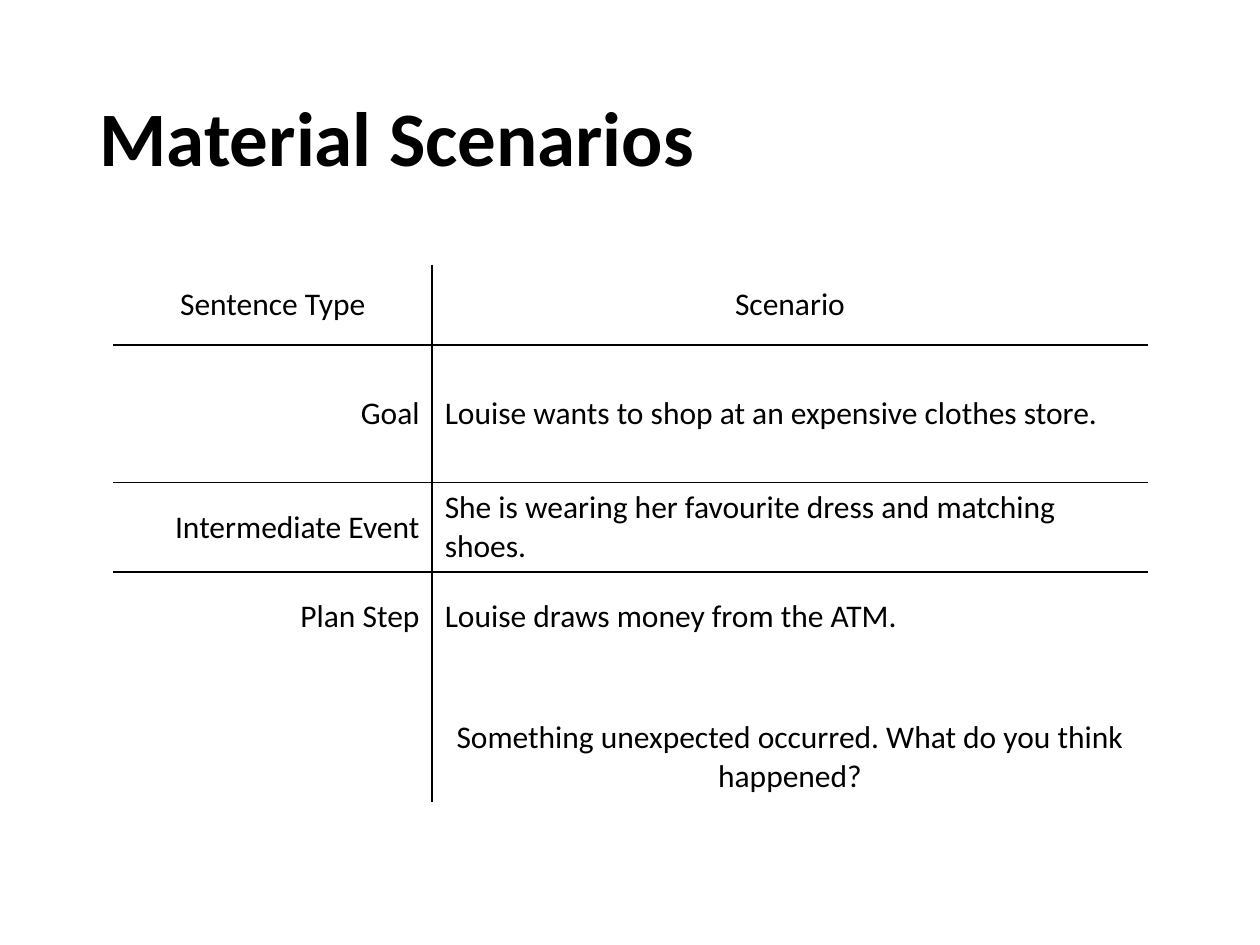
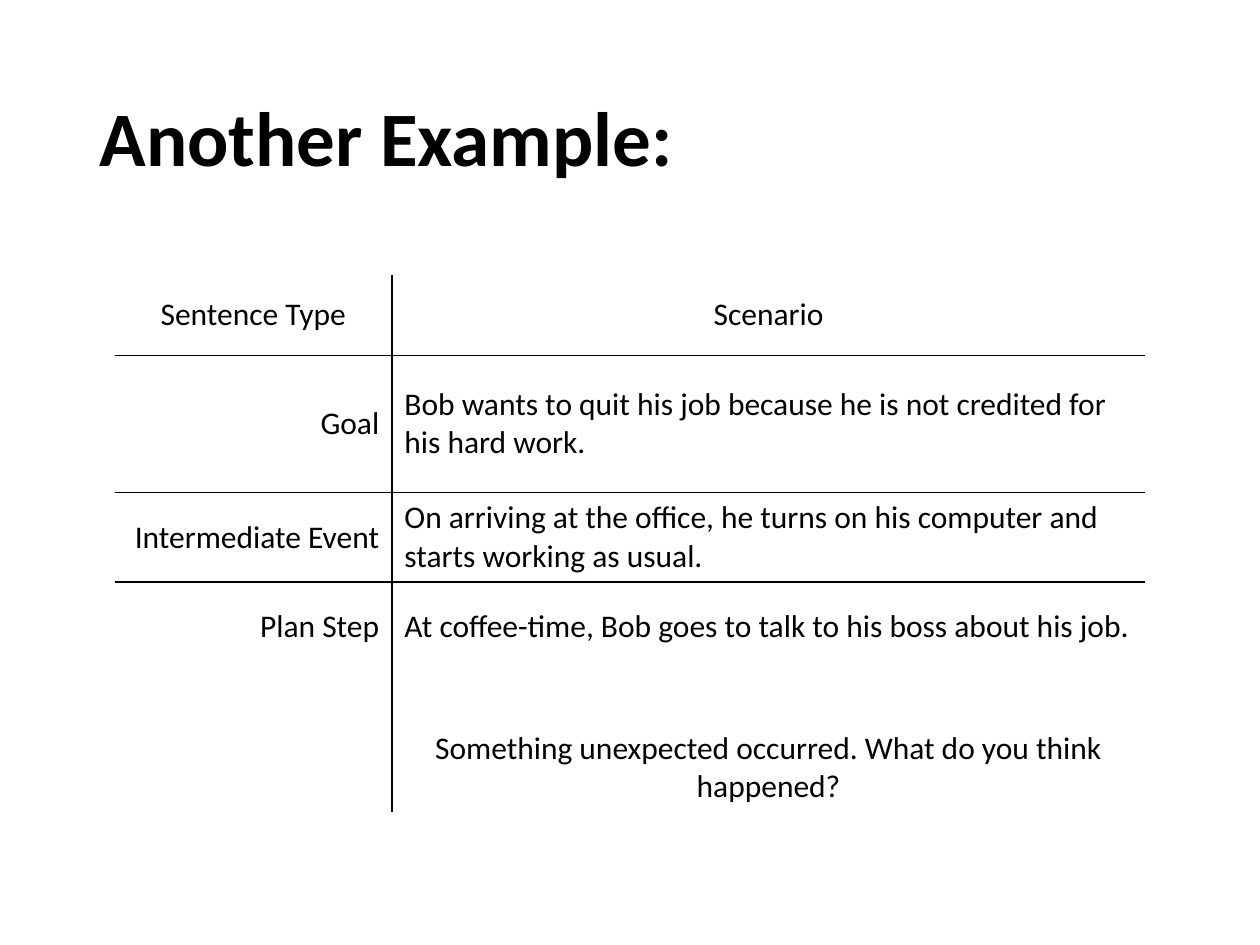
from lxml import etree
from pptx import Presentation
from pptx.dml.color import RGBColor
from pptx.enum.text import MSO_ANCHOR as Anchor, MSO_AUTO_SIZE as AutoSize, PP_ALIGN as Align
from pptx.oxml.ns import qn
from pptx.util import Inches, Pt

INK = RGBColor(0x00, 0x00, 0x00)
FONT = "Calibri"
NO_STYLE_NO_GRID = "{2D5ABB26-0587-4C30-8999-92F81FD0307C}"

deck = Presentation()
deck.slide_width, deck.slide_height = Inches(10), Inches(7.5)
UNIT = deck.slide_width / 100  # the grid has 100 columns of square cells

ROW_UNITS = [6.4, 10.9, 7.1, 7.1, 4, 7.1]
RULED_ROWS = (0, 1)  # rows with a line below them
ROW_LABELS = ["Sentence Type", "Goal", "Intermediate Event", "Plan Step", "", ""]
QUESTION = "Something unexpected occurred. What do you think happened?"

# title, table left, table top, column widths, goal, event, plan step
EXAMPLES = [
    ("Material Scenarios", 9, 21, (25.3, 56.8),
     "Louise wants to shop at an expensive clothes store.",
     "She is wearing her favourite dress and matching shoes.",
     "Louise draws money from the ATM."),
    ("Another Example:", 9.1, 21.8, (22, 59.8),
     "Bob wants to quit his job because he is not credited for his hard work.",
     "On arriving at the office, he turns on his computer and starts working as usual.",
     "At coffee-time, Bob goes to talk to his boss about his job."),
]


def units(count):
    return round(count * UNIT)


def add_border(cell, side):
    line = etree.SubElement(cell._tc.get_or_add_tcPr(), qn(f"a:ln{side}"), w=str(Pt(1)))
    fill = etree.SubElement(line, qn("a:solidFill"))
    etree.SubElement(fill, qn("a:srgbClr"), val=str(INK))


for heading, left, top, column_units, goal, event, plan_step in EXAMPLES:
    slide = deck.slides.add_slide(deck.slide_layouts[5])

    title = slide.shapes.title
    title.left, title.top = units(6.9), units(4)
    title.width, title.height = units(86.2), units(14.5)
    title.text_frame.text = heading
    title.text_frame.auto_size = AutoSize.NONE
    title.text_frame.vertical_anchor = Anchor.MIDDLE
    title_line = title.text_frame.paragraphs[0]
    title_line.alignment = Align.LEFT
    title_line.line_spacing = 0.9
    title_font = title_line.runs[0].font
    title_font.name, title_font.size, title_font.bold = FONT, Pt(44), True
    title_font.color.rgb = INK

    frame = slide.shapes.add_table(
        len(ROW_UNITS), len(column_units), units(left), units(top),
        units(sum(column_units)), units(sum(ROW_UNITS)))
    scenario = frame.table
    scenario.first_row = scenario.horz_banding = False
    scenario._tbl.tblPr.find(qn("a:tableStyleId")).text = NO_STYLE_NO_GRID
    for column, width in zip(scenario.columns, column_units):
        column.width = units(width)
    for row, height in zip(scenario.rows, ROW_UNITS):
        row.height = units(height)

    sentences = ["Scenario", goal, event, plan_step, "", QUESTION]
    for row_index, row_texts in enumerate(zip(ROW_LABELS, sentences)):
        for column_index, text in enumerate(row_texts):
            cell = scenario.cell(row_index, column_index)
            add_border(cell, "R" if column_index == 0 else "L")
            if row_index - 1 in RULED_ROWS:
                add_border(cell, "T")
            if row_index in RULED_ROWS:
                add_border(cell, "B")
            cell.fill.background()
            cell.vertical_anchor = Anchor.MIDDLE
            cell.text_frame.text = text
            sentence = cell.text_frame.paragraphs[0]
            if row_index == 0 or text == QUESTION:
                sentence.alignment = Align.CENTER
            else:
                sentence.alignment = Align.RIGHT if column_index == 0 else Align.LEFT
            for run in sentence.runs:
                run.font.name, run.font.size = FONT, Pt(18)
                run.font.color.rgb = INK

deck.save("out.pptx")
